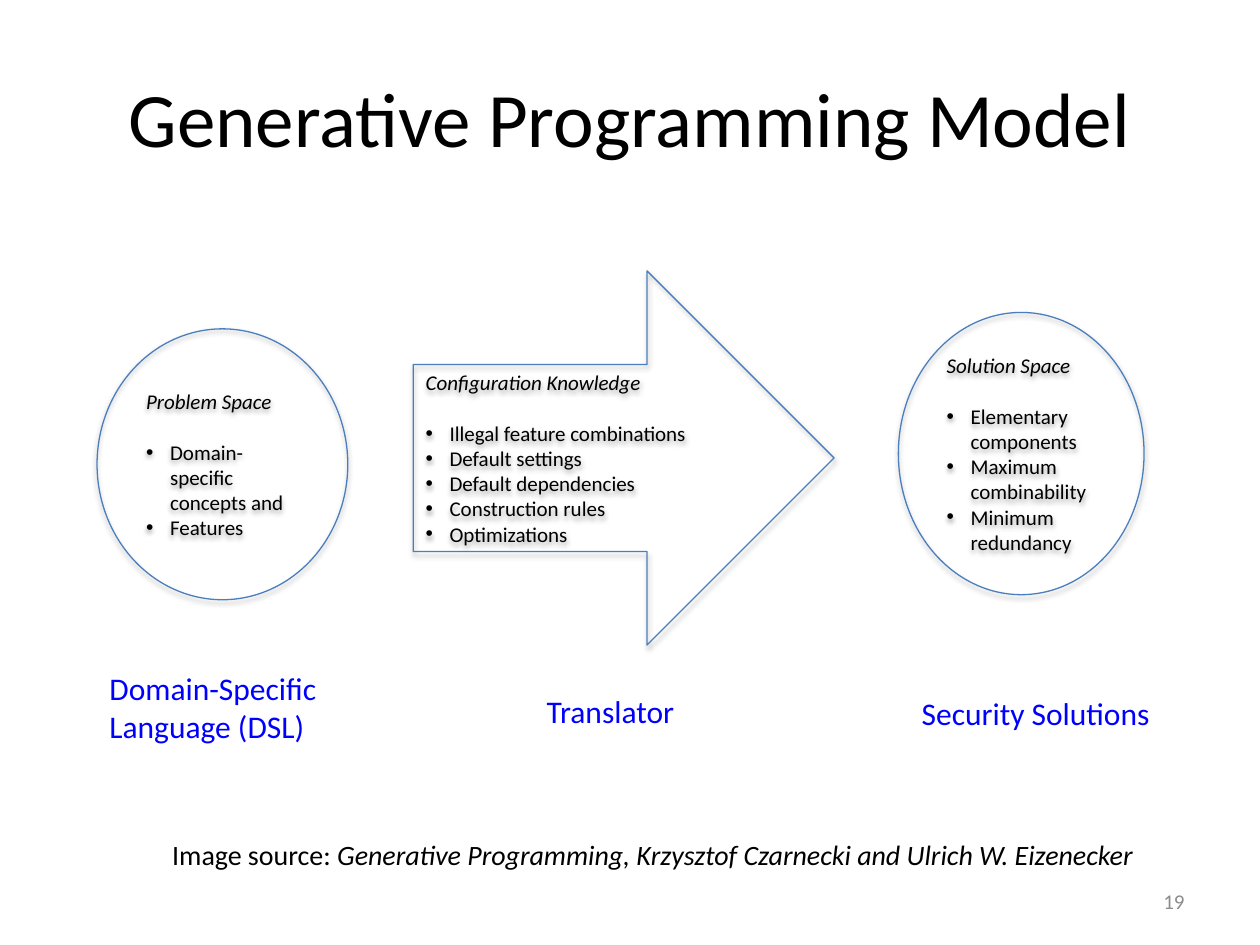
from lxml import etree
from pptx import Presentation
from pptx.dml.color import RGBColor
from pptx.enum.shapes import MSO_SHAPE as Shape
from pptx.enum.text import MSO_ANCHOR as Anchor, PP_ALIGN as Align
from pptx.oxml import parse_xml
from pptx.oxml.ns import nsdecls, qn
from pptx.util import Inches, Pt

FONT = "Calibri"
COLORS = {
    "text": "000000",
    "outline": "4B7EBC",
    "label": "0000FF",
    "number": "8C8C8C",
    "shadow": "000000",
}


def color(name):
    return RGBColor.from_string(COLORS[name])


def format_run(run, size, color_name="text", italic=False):
    run.font.name = FONT
    run.font.size = Pt(size)
    run.font.italic = italic
    run.font.color.rgb = color(color_name)


def add_text(slide, box, parts, size, color_name="text", align=Align.LEFT, anchor=Anchor.TOP):
    text_frame = slide.shapes.add_textbox(*map(Inches, box)).text_frame
    text_frame.word_wrap = True
    text_frame.vertical_anchor = anchor
    paragraph = text_frame.paragraphs[0]
    paragraph.alignment = align
    for text, italic in parts:
        run = paragraph.add_run()
        run.text = text
        format_run(run, size, color_name, italic)


def add_shadow(shape):
    shape.shadow.inherit = False
    effects = shape._element.spPr.find(qn("a:effectLst"))
    effects.append(parse_xml(
        f'<a:outerShdw {nsdecls("a")} blurRad="{Pt(3.1)}" dist="{Pt(1.8)}" '
        f'dir="5400000" rotWithShape="0"><a:srgbClr val="{COLORS["shadow"]}">'
        '<a:alpha val="35000"/></a:srgbClr></a:outerShdw>'
    ))


def add_bullet(paragraph):
    properties = paragraph._p.get_or_add_pPr()
    properties.set("marL", str(Inches(0.19)))
    properties.set("indent", str(Inches(-0.19)))
    etree.SubElement(properties, qn("a:buFont")).set("typeface", "Arial")
    etree.SubElement(properties, qn("a:buChar")).set("char", "•")


def add_stage(slide, kind, box, heading, items):
    shape = slide.shapes.add_shape(kind, *map(Inches, box))
    shape.fill.background()
    shape.line.color.rgb = color("outline")
    shape.line.width = Pt(0.75)
    add_shadow(shape)
    text_frame = shape.text_frame
    text_frame.word_wrap = True
    text_frame.vertical_anchor = Anchor.MIDDLE
    text_frame.margin_top = text_frame.margin_bottom = 0
    text_frame.text = "\n".join([heading, *items])
    for index, paragraph in enumerate(text_frame.paragraphs):
        paragraph.alignment = Align.LEFT
        format_run(paragraph.runs[0], 12, italic=index == 0)
        if index == 0:
            paragraph.space_after = Pt(14.5)
        else:
            add_bullet(paragraph)


def main():
    presentation = Presentation()
    presentation.slide_width = Inches(10)
    presentation.slide_height = Inches(7.5)
    slide = presentation.slides.add_slide(presentation.slide_layouts[6])

    add_text(slide, (0.5, 0.3, 9, 1.25), [("Generative Programming Model", False)], 44,
             align=Align.CENTER, anchor=Anchor.MIDDLE)

    stages = [
        (Shape.OVAL, (0.77, 2.61, 1.99, 2.15), "Problem Space",
         ["Domain-specific concepts and", "Features"]),
        (Shape.OVAL, (7.13, 2.48, 1.95, 2.24), "Solution Space",
         ["Elementary components", "Maximum combinability", "Minimum redundancy"]),
        (Shape.RIGHT_ARROW, (3.28, 2.15, 3.34, 2.97), "Configuration Knowledge",
         ["Illegal feature combinations", "Default settings", "Default dependencies",
          "Construction rules", "Optimizations"]),
    ]
    for stage in stages:
        add_stage(slide, *stage)

    labels = [
        ("Domain-Specific Language (DSL)", (0.77, 5.26, 1.99, 0.71), Align.LEFT),
        ("Translator", (3.28, 5.44, 3.13, 0.4), Align.CENTER),
        ("Security Solutions", (7.14, 5.46, 2.16, 0.4), Align.CENTER),
    ]
    for text, box, align in labels:
        add_text(slide, box, [(text, False)], 18, "label", align)

    credit = [
        ("Image source: ", False),
        ("Generative Programming, Krzysztof Czarnecki and Ulrich W. Eizenecker", True),
    ]
    add_text(slide, (0.62, 6.6, 9.12, 0.37), credit, 16, align=Align.CENTER)
    add_text(slide, (7.17, 6.95, 2.33, 0.4), [("19", False)], 12, "number",
             Align.RIGHT, Anchor.MIDDLE)

    presentation.save("out.pptx")


if __name__ == "__main__":
    main()
